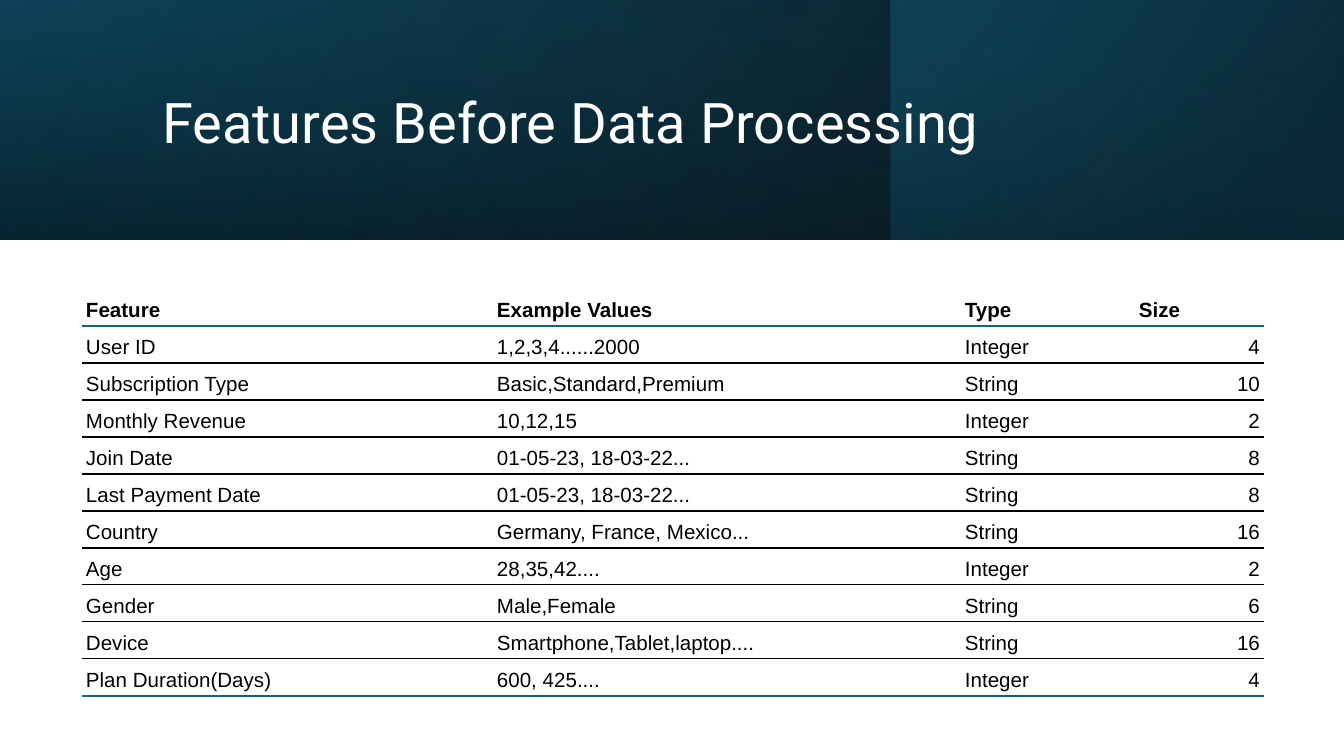
import pptx
import pptx.dml.color
import pptx.enum.shapes
import pptx.enum.text
import pptx.oxml
import pptx.oxml.ns
import pptx.util

RGBColor = pptx.dml.color.RGBColor
Align = pptx.enum.text.PP_ALIGN
Anchor = pptx.enum.text.MSO_ANCHOR
qn = pptx.oxml.ns.qn

SCALE = 914400 / 134.4
BLACK = RGBColor(0x00, 0x00, 0x00)
WHITE = RGBColor(0xFF, 0xFF, 0xFF)
TEAL = RGBColor(0x0F, 0x48, 0x61)
NAVY = RGBColor(0x0A, 0x30, 0x41)
BLUE = RGBColor(0x15, 0x60, 0x82)

COLUMN_WIDTHS = [411, 468, 174, 129]
ROW_HEIGHT = 37
FEATURES = [
    ("Feature", "Example Values", "Type", "Size"),
    ("User ID", "1,2,3,4......2000", "Integer", "4"),
    ("Subscription Type", "Basic,Standard,Premium", "String", "10"),
    ("Monthly Revenue", "10,12,15", "Integer", "2"),
    ("Join Date", "01-05-23, 18-03-22...", "String", "8"),
    ("Last Payment Date", "01-05-23, 18-03-22...", "String", "8"),
    ("Country", "Germany, France, Mexico...", "String", "16"),
    ("Age", "28,35,42....", "Integer", "2"),
    ("Gender", "Male,Female", "String", "6"),
    ("Device", "Smartphone,Tablet,laptop....", "String", "16"),
    ("Plan Duration(Days)", "600, 425....", "Integer", "4"),
]


def px(length):
    return pptx.util.Emu(round(length * SCALE))


def write_text(frame, text, *, font, size, color, bold=False, align=Align.LEFT, spacing=None):
    paragraph = frame.paragraphs[0]
    paragraph.alignment = align
    paragraph.line_spacing = spacing
    run = paragraph.add_run()
    run.text = text
    run.font.name = font
    run.font.size = pptx.util.Pt(size)
    run.font.bold = bold
    run.font.color.rgb = color


def set_border(cell, side, line=None):
    properties = cell._tc.get_or_add_tcPr()
    border = properties.makeelement(qn(f"a:ln{side}"))
    properties.append(border)
    if line is None:
        border.append(border.makeelement(qn("a:noFill")))
        return
    color, width = line
    border.set("w", str(pptx.util.Pt(width)))
    fill = border.makeelement(qn("a:solidFill"))
    fill.append(fill.makeelement(qn("a:srgbClr"), {"val": str(color)}))
    border.append(fill)


class SlideBuilder:
    title_font = "Roboto"
    table_font = "Arial"
    title_size = 30
    table_size = 11
    cell_margin = 4
    header_rule = (BLUE, 1.5)
    row_rule = (BLACK, 0.75)
    last_rule = (BLUE, 1)

    def __init__(self, presentation):
        self.slide = presentation.slides.add_slide(presentation.slide_layouts[5])

    def band(self, left, top, width, height, stops, angle, rotation=0):
        shape = self.slide.shapes.add_shape(
            pptx.enum.shapes.MSO_SHAPE.RECTANGLE, px(left), px(top), px(width), px(height))
        shape.shadow.inherit = False
        shape.line.fill.background()
        shape.rotation = rotation
        shape._element.spPr.find(qn("a:xfrm")).set("flipH", "1")
        shape.fill.gradient()
        shape.fill.gradient_angle = 360 - angle
        stop_list = shape._element.spPr.find(".//" + qn("a:gsLst"))
        for stop in list(stop_list):
            stop_list.remove(stop)
        for position, color, opacity in stops:
            stop_list.append(pptx.oxml.parse_xml(
                f'<a:gs {pptx.oxml.ns.nsdecls("a")} pos="{position * 1000}">'
                f'<a:srgbClr val="{color}"><a:alpha val="{opacity * 1000}"/></a:srgbClr></a:gs>'))

    def title(self, text, left, top, width, height):
        title = self.slide.shapes.title
        title.left, title.top, title.width, title.height = map(px, (left, top, width, height))
        frame = title.text_frame
        frame.word_wrap = True
        frame.auto_size = pptx.enum.text.MSO_AUTO_SIZE.NONE
        frame.vertical_anchor = Anchor.MIDDLE
        frame.margin_left = frame.margin_right = px(10)
        frame.margin_top = frame.margin_bottom = px(5)
        write_text(frame, text, font=self.title_font, size=self.title_size,
                   color=WHITE, spacing=0.9)
        self.slide.shapes._spTree.append(title._element)

    def table(self, rows, left, top, widths, row_height):
        table = self.slide.shapes.add_table(
            len(rows), len(widths), px(left), px(top),
            px(sum(widths)), px(row_height * len(rows))).table
        table.first_row = table.horz_banding = False
        for column, width in zip(table.columns, widths):
            column.width = px(width)
        rules = [None, self.header_rule] + [self.row_rule] * (len(rows) - 2) + [self.last_rule]
        for row_index, values in enumerate(rows):
            table.rows[row_index].height = px(row_height)
            for column_index, value in enumerate(values):
                self.cell(table.cell(row_index, column_index), value,
                          rules[row_index:row_index + 2], row_index == 0,
                          row_index > 0 and column_index == len(widths) - 1)

    def cell(self, cell, text, rules, header, numeric):
        cell.margin_left = cell.margin_right = px(self.cell_margin)
        cell.margin_top = cell.margin_bottom = px(self.cell_margin)
        cell.vertical_anchor = Anchor.BOTTOM
        for side, rule in zip("LRTB", [None, None, *rules]):
            set_border(cell, side, rule)
        cell.fill.background()
        write_text(cell.text_frame, text, font=self.table_font, size=self.table_size,
                   color=BLACK, bold=header, align=Align.RIGHT if numeric else Align.LEFT)


def main():
    presentation = pptx.Presentation()
    presentation.slide_width = px(1344)
    presentation.slide_height = px(756)
    builder = SlideBuilder(presentation)
    builder.band(0, 0, 1344, 240, [(0, BLACK, 96), (100, TEAL, 100)], 330)
    builder.band(891, 0, 452, 240, [(0, NAVY, 68), (19, NAVY, 68), (100, BLUE, 48)], 320)
    builder.band(552, -552, 240, 1344,
                 [(0, TEAL, 16), (23, TEAL, 16), (99, BLACK, 45), (100, BLACK, 45)],
                 350, rotation=270)
    builder.title("Features Before Data Processing", 152, 39, 1071, 173)
    builder.table(FEATURES, 82, 289, COLUMN_WIDTHS, ROW_HEIGHT)
    presentation.save("out.pptx")


if __name__ == "__main__":
    main()
